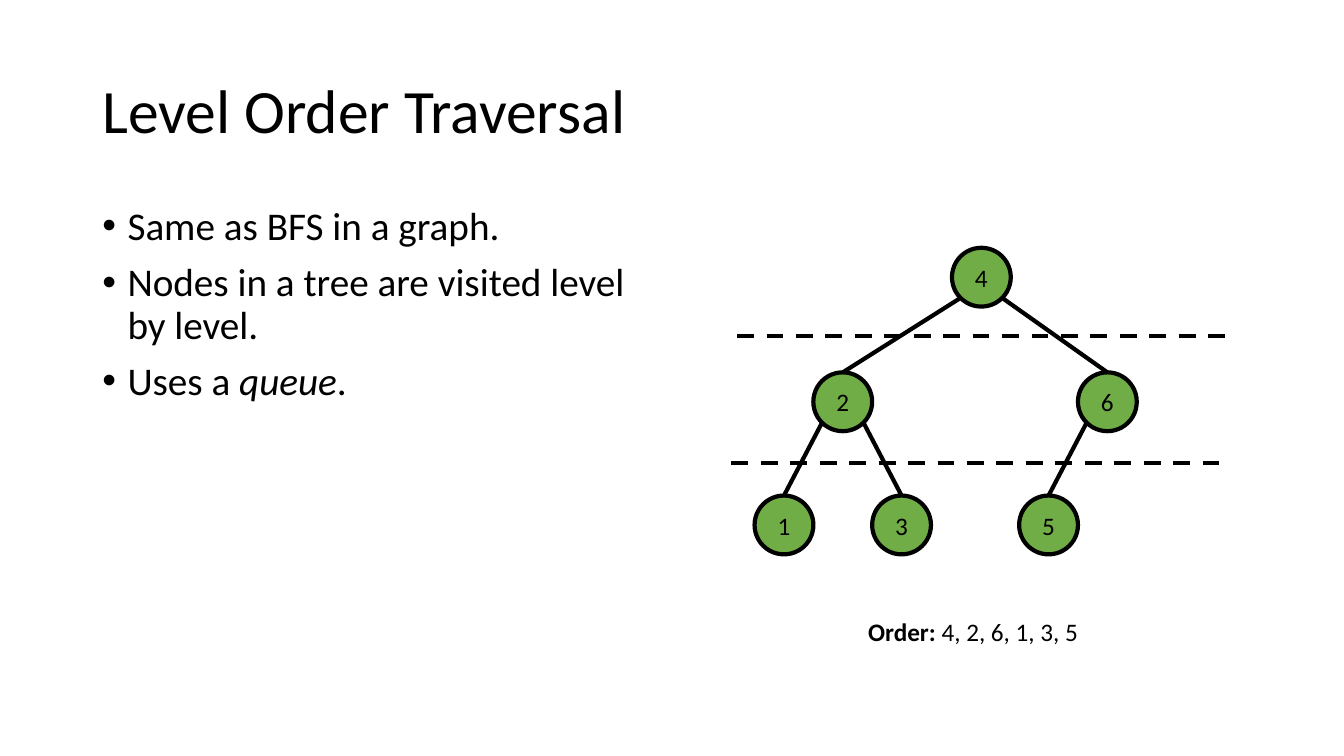
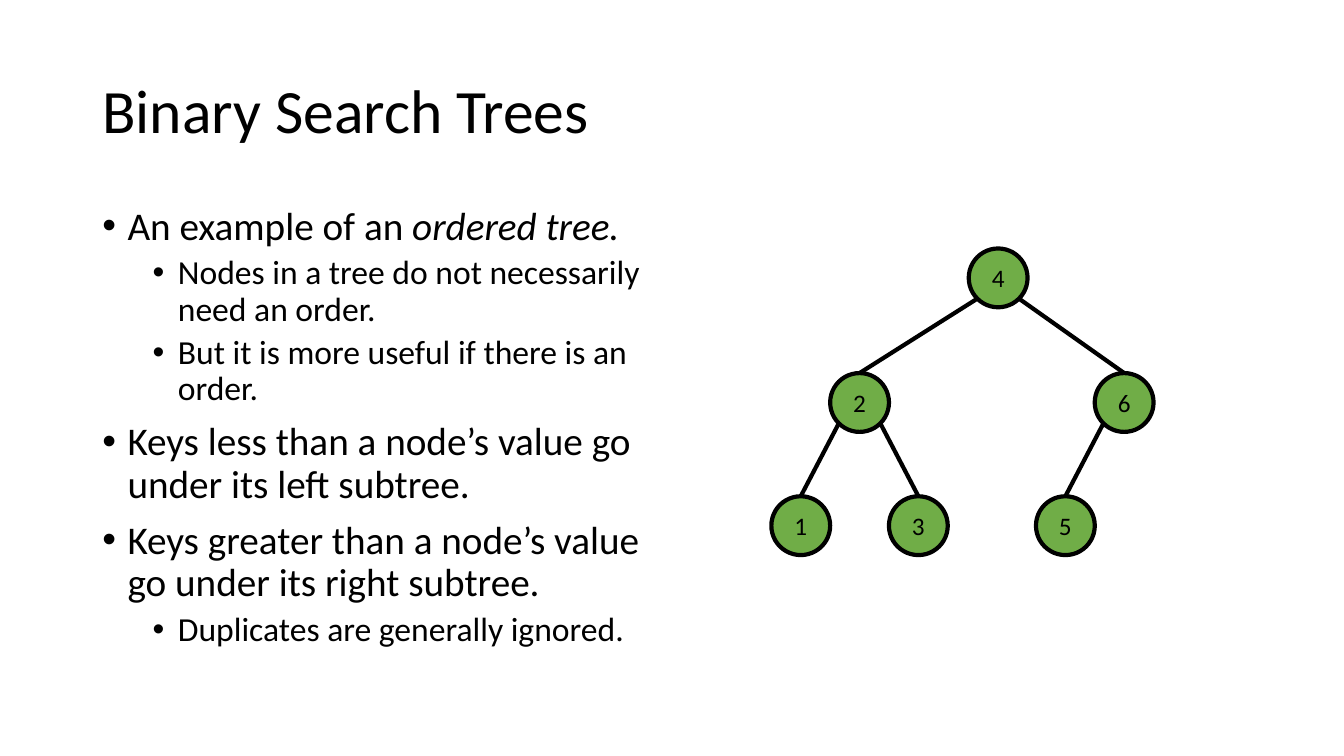
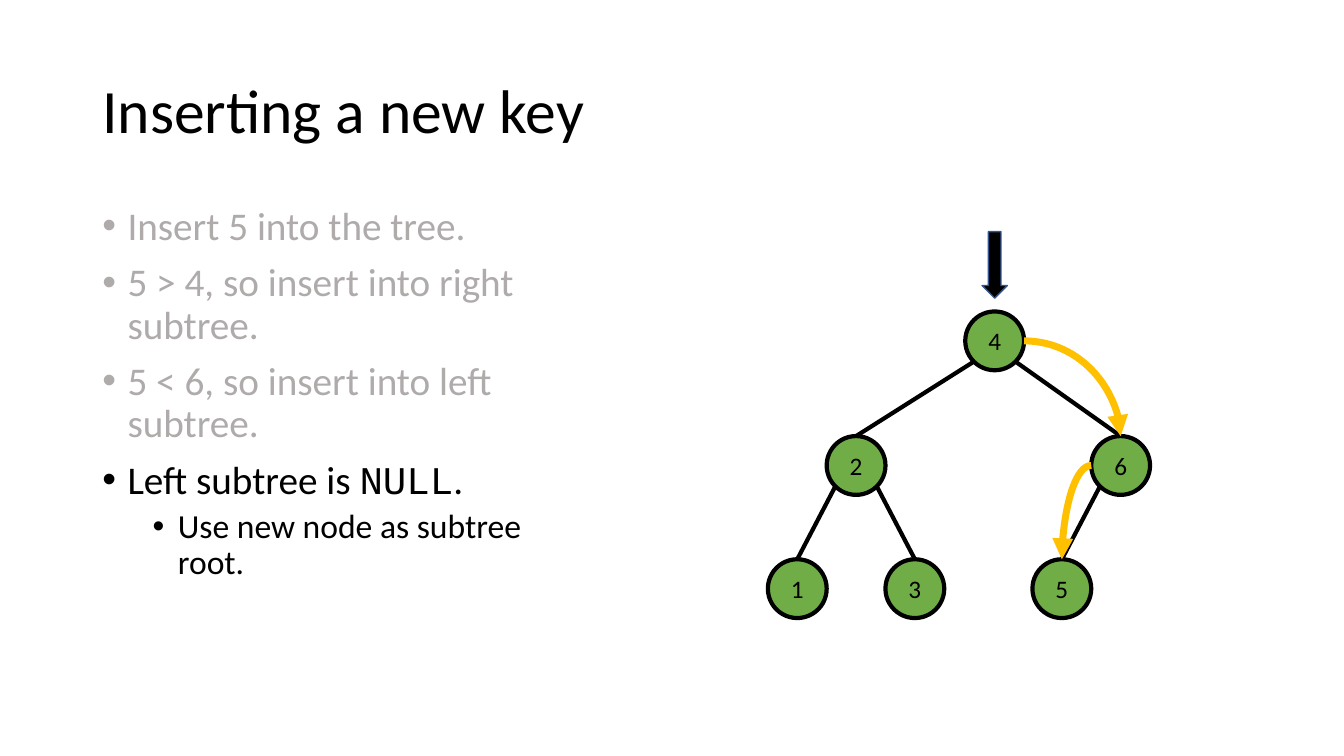
from lxml import etree
from pptx import Presentation
from pptx import util as u
from pptx.dml import color
from pptx.enum import dml, shapes, text
from pptx.oxml import ns

COLORS = {"ink": "000000", "node": "70AD47", "faded": "AFABAB",
          "path": "FFC000", "pointer_edge": "325491"}
FONT, CODE_FONT = "Calibri", "Courier New"
DIAMETER = 42
SITES = {"top": (0, 0.5, 0), "left": (2, 0, 0.5), "lower left": (3, 0.15, 0.85),
         "lower right": (5, 0.85, 0.85), "right": (6, 1, 0.5)}
NODE_OFFSETS = {4: (0, 0), 2: (-99, 89), 6: (90, 89),
                1: (-141, 177), 3: (-57, 177), 5: (48, 177)}
EDGES = [(2, 1, "lower left"), (2, 3, "lower right"), (4, 2, "lower left"),
         (4, 6, "lower right"), (6, 5, "lower left")]
LEVELS = [{"size": 28, "margin": 18, "before": 10},
          {"size": 24, "margin": 54, "before": 5}]


def rgb(name):
    """Return the named colour."""
    return color.RGBColor.from_string(COLORS[name])


def style_run(run, size, ink="ink", font=FONT, bold=False, italic=False):
    """Set the font of one run."""
    run.font.size, run.font.name = u.Pt(size), font
    run.font.bold, run.font.italic = bold, italic
    run.font.color.rgb = rgb(ink)


def add_runs(paragraph, pieces, size, ink="ink"):
    """Add pieces, each plain text or a (text, font options) pair."""
    for piece in pieces:
        words, options = (piece, {}) if isinstance(piece, str) else piece
        run = paragraph.add_run()
        run.text = words
        style_run(run, size, ink, **options)


def add_frame(slide, left, top, width, height):
    """Add a wrapping text box and return its text frame."""
    box = slide.shapes.add_textbox(u.Pt(left), u.Pt(top), u.Pt(width), u.Pt(height))
    box.text_frame.word_wrap = True
    return box.text_frame


def add_title(slide, title):
    """Add the slide title."""
    frame = add_frame(slide, 66, 29, 828, 104)
    frame.vertical_anchor = text.MSO_ANCHOR.MIDDLE
    frame.text = title
    frame.paragraphs[0].line_spacing = 0.9
    style_run(frame.paragraphs[0].runs[0], 44)


def add_bullets(slide, width, points):
    """Add bullets given as (level, colour, pieces)."""
    frame = add_frame(slide, 66, 144, width, 343)
    for index, (level, ink, pieces) in enumerate(points):
        paragraph = frame.add_paragraph() if index else frame.paragraphs[0]
        look = LEVELS[level]
        paragraph.level = level
        paragraph.line_spacing = 0.9
        paragraph.space_before = u.Pt(look["before"])
        add_runs(paragraph, pieces, look["size"], ink)
        properties = paragraph._p.get_or_add_pPr()
        properties.set("marL", str(u.Pt(look["margin"])))
        properties.set("indent", str(u.Pt(-18)))
        etree.SubElement(properties, ns.qn("a:buFont")).set("typeface", "Arial")
        etree.SubElement(properties, ns.qn("a:buChar")).set("char", "•")


def add_solid(slide, kind, box, fill, edge, weight):
    """Add a filled and outlined preset shape."""
    solid = slide.shapes.add_shape(kind, *map(u.Pt, box))
    solid.shadow.inherit = False
    solid.fill.solid()
    solid.fill.fore_color.rgb = rgb(fill)
    solid.line.color.rgb = rgb(edge)
    solid.line.width = u.Pt(weight)
    return solid


def add_node(slide, key, left, top):
    """Add one tree node showing its key."""
    node = add_solid(slide, shapes.MSO_SHAPE.OVAL, (left, top, DIAMETER, DIAMETER),
                     "node", "ink", 3)
    frame = node.text_frame
    frame.text = str(key)
    frame.vertical_anchor = text.MSO_ANCHOR.MIDDLE
    frame.paragraphs[0].alignment = text.PP_ALIGN.CENTER
    style_run(frame.paragraphs[0].runs[0], 18)
    return node


def add_line(slide, start, end, ink="ink", weight=3,
             kind=shapes.MSO_CONNECTOR.STRAIGHT):
    """Add a connector without shadow between two points."""
    line = slide.shapes.add_connector(kind, *map(u.Emu, (*start, *end)))
    line.line.color.rgb = rgb(ink)
    line.line.width = u.Pt(weight)
    etree.SubElement(line._element.spPr, ns.qn("a:effectLst"))
    return line


def site_point(node, site):
    """Return the point of a connection site on a node."""
    across, down = SITES[site][1:]
    return (int(node.left + node.width * across), int(node.top + node.height * down))


def join_nodes(slide, parent, site, child, **look):
    """Join a site of the parent to the top of the child."""
    line = add_line(slide, site_point(parent, site), site_point(child, "top"), **look)
    joints = line._element.find(".//" + ns.qn("p:cNvCxnSpPr"))
    for tag, node, place in (("a:stCxn", parent, site), ("a:endCxn", child, "top")):
        joint = etree.SubElement(joints, ns.qn(tag))
        joint.set("id", str(node.shape_id))
        joint.set("idx", str(SITES[place][0]))
    return line


def add_tree(slide, left, top):
    """Draw the tree from its root position and return the nodes by key."""
    nodes = {key: add_node(slide, key, left + right, top + down)
             for key, (right, down) in NODE_OFFSETS.items()}
    for parent, child, site in EDGES:
        join_nodes(slide, nodes[parent], site, nodes[child])
    return nodes


def add_path_arrow(slide, parent, site, child):
    """Add a curved arrow for one step of the search path."""
    arrow = join_nodes(slide, parent, site, child, ink="path", weight=5,
                       kind=shapes.MSO_CONNECTOR.CURVE)
    arrow._element.spPr.find(ns.qn("a:prstGeom")).set("prst", "curvedConnector2")
    outline = arrow.line._get_or_add_ln()
    etree.SubElement(outline, ns.qn("a:tailEnd")).set("type", "triangle")


def add_level_divider(slide, left, right, height):
    """Add a dashed line between two tree levels."""
    divider = add_line(slide, (u.Pt(left), u.Pt(height)), (u.Pt(right), u.Pt(height)))
    divider.line.dash_style = dml.MSO_LINE.DASH


def start_slide(deck, title, width, points):
    """Add a slide with its title and bullets."""
    slide = deck.slides.add_slide(deck.slide_layouts[6])
    add_title(slide, title)
    add_bullets(slide, width, points)
    return slide


def level_order(deck):
    """Build the level order slide."""
    slide = start_slide(deck, "Level Order Traversal", 406, [
        (0, "ink", ["Same as BFS in a graph."]),
        (0, "ink", ["Nodes in a tree are visited level by level."]),
        (0, "ink", ["Uses a ", ("queue", {"italic": True}), "."])])
    add_tree(slide, 680, 177)
    add_level_divider(slide, 526.5, 875, 240)
    add_level_divider(slide, 522.5, 870.5, 331)
    visit_order = add_frame(slide, 613, 437, 176, 29)
    add_runs(visit_order.paragraphs[0],
             [("Order: ", {"bold": True}), "4, 2, 6, 1, 3, 5"], 18)


def search_trees(deck):
    """Build the binary search tree slide."""
    slide = start_slide(deck, "Binary Search Trees", 414, [
        (0, "ink", ["An example of an ", ("ordered tree.", {"italic": True})]),
        (1, "ink", ["Nodes in a tree do not necessarily need an order."]),
        (1, "ink", ["But it is more useful if there is an order."]),
        (0, "ink", ["Keys less than a node’s value go under its left subtree."]),
        (0, "ink", ["Keys greater than a node’s value go under its right subtree."]),
        (1, "ink", ["Duplicates are generally ignored."])])
    add_tree(slide, 692, 177.5)


def inserting_key(deck):
    """Build the insertion slide."""
    slide = start_slide(deck, "Inserting a new key", 356.5, [
        (0, "faded", ["Insert 5 into the tree."]),
        (0, "faded", ["5 > 4, so insert into right subtree."]),
        (0, "faded", ["5 < 6, so insert into left subtree."]),
        (0, "ink", ["Left subtree is ", ("NULL", {"font": CODE_FONT}), "."]),
        (1, "ink", ["Use new node as subtree root."])])
    nodes = add_tree(slide, 689.5, 222.5)
    add_solid(slide, shapes.MSO_SHAPE.DOWN_ARROW, (701.5, 165.5, 18, 47.5),
              "ink", "pointer_edge", 1)
    add_path_arrow(slide, nodes[4], "right", nodes[6])
    add_path_arrow(slide, nodes[6], "left", nodes[5])


def main():
    """Build and save the deck."""
    deck = Presentation()
    deck.slide_width, deck.slide_height = u.Pt(960), u.Pt(540)
    level_order(deck)
    search_trees(deck)
    inserting_key(deck)
    deck.save("out.pptx")


if __name__ == "__main__":
    main()
